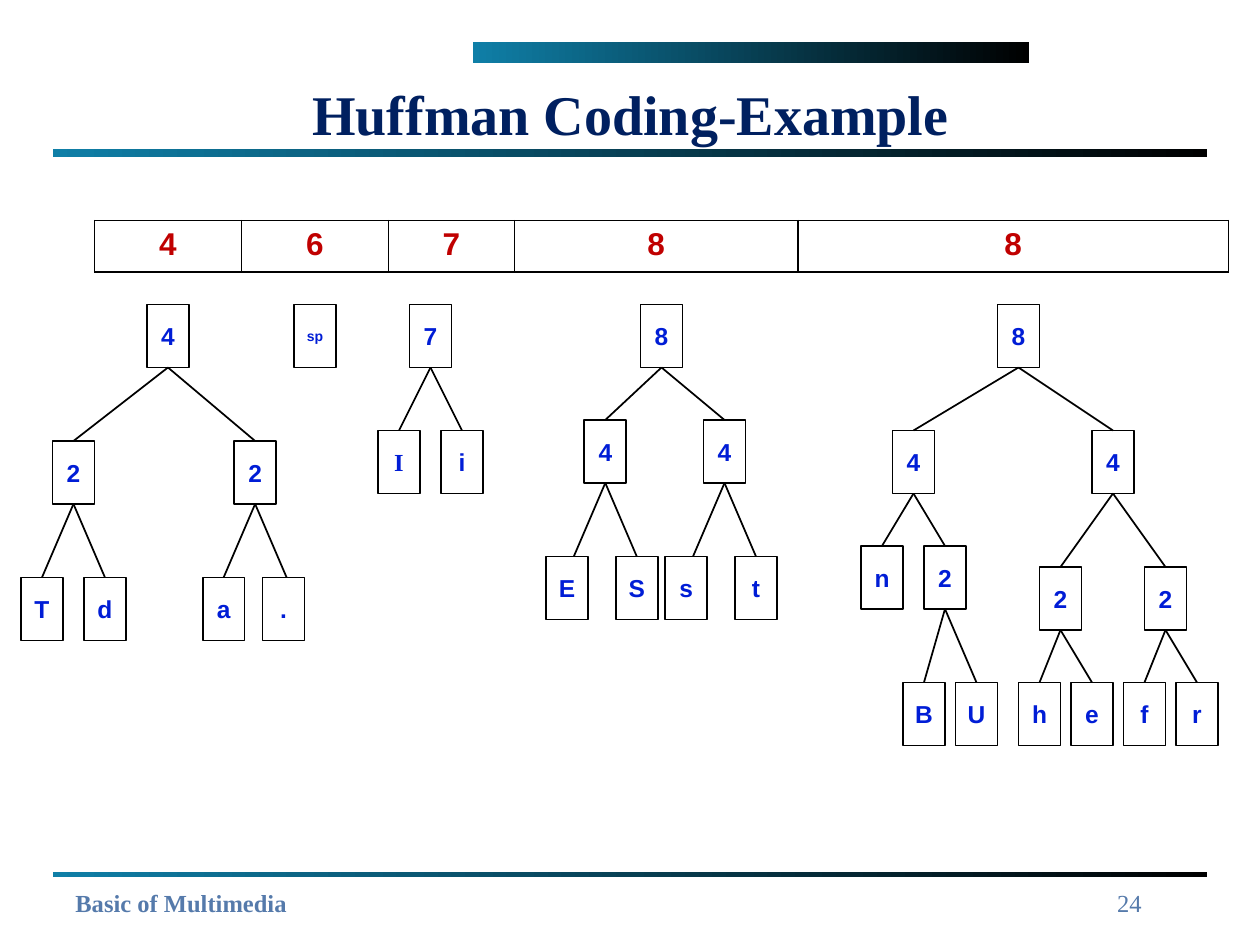
"""Build the Huffman coding example slide."""
from dataclasses import dataclass

from lxml.etree import SubElement
from pptx import Presentation
from pptx.dml.color import RGBColor
from pptx.enum.shapes import MSO_CONNECTOR, MSO_SHAPE
from pptx.enum.text import MSO_ANCHOR, PP_ALIGN
from pptx.oxml.ns import qn
from pptx.util import Emu, Inches, Pt


@dataclass(frozen=True)
class Theme:
    """Colours, fonts and type sizes of the slide."""
    title: str = "002060"
    footer: str = "557AAB"
    weight: str = "C00000"
    symbol: str = "001DD6"
    ink: str = "000000"
    paper: str = "FFFFFF"
    band: str = "0F7FA7"
    serif: str = "Times New Roman"
    sans: str = "Arial"
    title_size: int = 32
    weight_size: int = 18
    body_size: int = 14
    small_size: int = 8


@dataclass(frozen=True)
class Node:
    """Tree node placed by centre column and top row, with an edge offset."""
    label: str
    column: float
    row: float
    children: tuple = ()
    edge_shift: float = 0


THEME = Theme()
NODE_COLUMNS, NODE_ROWS = 4, 6
WEIGHTS = ("4", "6", "7", "8", "8")
WEIGHT_COLUMNS = (14, 14, 12, 27, 41)

FOREST = (
    Node("sp", 30, 29),
    Node("4", 16, 29, (
        Node("2", 7, 42, (Node("T", 4, 55), Node("d", 10, 55))),
        Node("2", 24.3, 42, (Node("a", 21.3, 55), Node(".", 27, 55, (), 0.3))),
    )),
    Node("7", 41, 29, (Node("I", 38, 41), Node("i", 44, 41))),
    Node("8", 63, 29, (
        Node("4", 57.65, 40, (Node("E", 54, 53, (), 0.65), Node("S", 60.65, 53))),
        Node("4", 69, 40, (Node("s", 65.35, 53, (), 0.65), Node("t", 72, 53))),
    )),
    Node("8", 97, 29, (
        Node("4", 87, 41, (
            Node("n", 84, 52),
            Node("2", 90, 52, (Node("B", 88, 65), Node("U", 93, 65))),
        )),
        Node("4", 106, 41, (
            Node("2", 101, 54, (Node("h", 99, 65), Node("e", 104, 65))),
            Node("2", 111, 54, (Node("f", 109, 65), Node("r", 114, 65))),
        )),
    )),
)


def grid(*steps):
    """Convert grid steps of a twelfth of an inch to lengths."""
    return [Emu(round(step * Inches(1) / 12)) for step in steps]


def color(value):
    """Return the colour object for a hex value."""
    return RGBColor.from_string(value)


def write(frame, text, ink, size, font=THEME.sans, bold=True, align=PP_ALIGN.CENTER):
    """Write one formatted run into a text frame."""
    frame.word_wrap = True
    paragraph = frame.paragraphs[0]
    paragraph.alignment = align
    run = paragraph.add_run()
    run.text = text
    run.font.name, run.font.size, run.font.bold = font, Pt(size), bold
    run.font.color.rgb = color(ink)


def add_band(slide, left, top, width, height):
    """Add a horizontal gradient band."""
    band = slide.shapes.add_shape(
        MSO_SHAPE.RECTANGLE, *map(Inches, (left, top, width, height)))
    band.shadow.inherit = False
    band.line.fill.background()
    band.fill.gradient()
    band.fill.gradient_angle = 0
    for stop, ink in zip(band.fill.gradient_stops, (THEME.band, THEME.ink)):
        stop.color.rgb = color(ink)


def add_title(slide, text):
    """Place and format the title placeholder."""
    title = slide.shapes.title
    title.left, title.top, title.width, title.height = map(
        Inches, (0.42, 0.56, 9.17, 0.67))
    title.text_frame.vertical_anchor = MSO_ANCHOR.MIDDLE
    write(title.text_frame, text, THEME.title, THEME.title_size, THEME.serif)


def add_footer(slide, text, left, width, bold, align):
    """Add one footer text."""
    footer = slide.shapes.add_textbox(*map(Inches, (left, 7, width, 0.33)))
    write(footer.text_frame, text, THEME.footer, THEME.body_size,
          THEME.serif, bold, align)


def outline_cell(cell):
    """Draw a thin border on all four sides of a cell."""
    properties = cell._tc.get_or_add_tcPr()
    for position, side in enumerate(("a:lnL", "a:lnR", "a:lnT", "a:lnB")):
        border = properties.makeelement(qn(side), {"w": str(Pt(1))})
        properties.insert(position, border)
        fill = SubElement(border, qn("a:solidFill"))
        SubElement(fill, qn("a:srgbClr"), val=THEME.ink)


def add_weights(slide):
    """Add the row of tree weights."""
    table = slide.shapes.add_table(
        1, len(WEIGHTS), *grid(9, 21, sum(WEIGHT_COLUMNS), 4.9)).table
    table.first_row = table.horz_banding = False
    for column, width in zip(table.columns, grid(*WEIGHT_COLUMNS)):
        column.width = width
    for cell, weight in zip(table.rows[0].cells, WEIGHTS):
        cell.fill.solid()
        cell.fill.fore_color.rgb = color(THEME.paper)
        outline_cell(cell)
        write(cell.text_frame, weight, THEME.weight, THEME.weight_size)


def add_node(slide, node):
    """Add the box of one node."""
    box = slide.shapes.add_shape(MSO_SHAPE.RECTANGLE, *grid(
        node.column - NODE_COLUMNS / 2, node.row, NODE_COLUMNS, NODE_ROWS))
    box.shadow.inherit = False
    box.fill.solid()
    box.fill.fore_color.rgb = color(THEME.paper)
    box.line.color.rgb = color(THEME.ink)
    box.line.width = Pt(1)
    frame = box.text_frame
    frame.margin_left = frame.margin_right = 0
    frame.vertical_anchor = MSO_ANCHOR.MIDDLE
    size = THEME.small_size if len(node.label) > 1 else THEME.body_size
    font = THEME.serif if node.label == "I" else THEME.sans
    write(frame, node.label, THEME.symbol, size, font)
    return box


def add_edge(slide, parent, child, parent_box, child_box):
    """Join the bottom of a parent to the top of its child."""
    edge = slide.shapes.add_connector(MSO_CONNECTOR.STRAIGHT, *grid(
        parent.column, parent.row + NODE_ROWS,
        child.column + child.edge_shift, child.row))
    edge.begin_connect(parent_box, 2)
    if not child.edge_shift:
        edge.end_connect(child_box, 0)
    edge.line.color.rgb = color(THEME.ink)
    edge.line.width = Pt(1)
    SubElement(edge._element.spPr, qn("a:effectLst"))


def add_tree(slide, node):
    """Add a node with all its descendants and return its box."""
    child_boxes = [add_tree(slide, child) for child in node.children]
    box = add_node(slide, node)
    for child, child_box in zip(node.children, child_boxes):
        add_edge(slide, node, child, box, child_box)
    return box


def main():
    """Build and save the slide."""
    deck = Presentation()
    deck.slide_width, deck.slide_height = Inches(10), Inches(7.5)
    slide = deck.slides.add_slide(deck.slide_layouts[5])
    add_band(slide, 3.75, 0.33, 4.42, 0.17)
    add_band(slide, 0.42, 1.18, 9.16, 0.07)
    add_band(slide, 0.42, 6.92, 9.16, 0.04)
    add_title(slide, "Huffman Coding-Example")
    add_footer(slide, "Basic of Multimedia", 0.5, 6.08, True, PP_ALIGN.LEFT)
    add_footer(slide, "24", 7.08, 2.08, False, PP_ALIGN.RIGHT)
    add_weights(slide)
    for root in FOREST:
        add_tree(slide, root)
    deck.save("out.pptx")


main()
